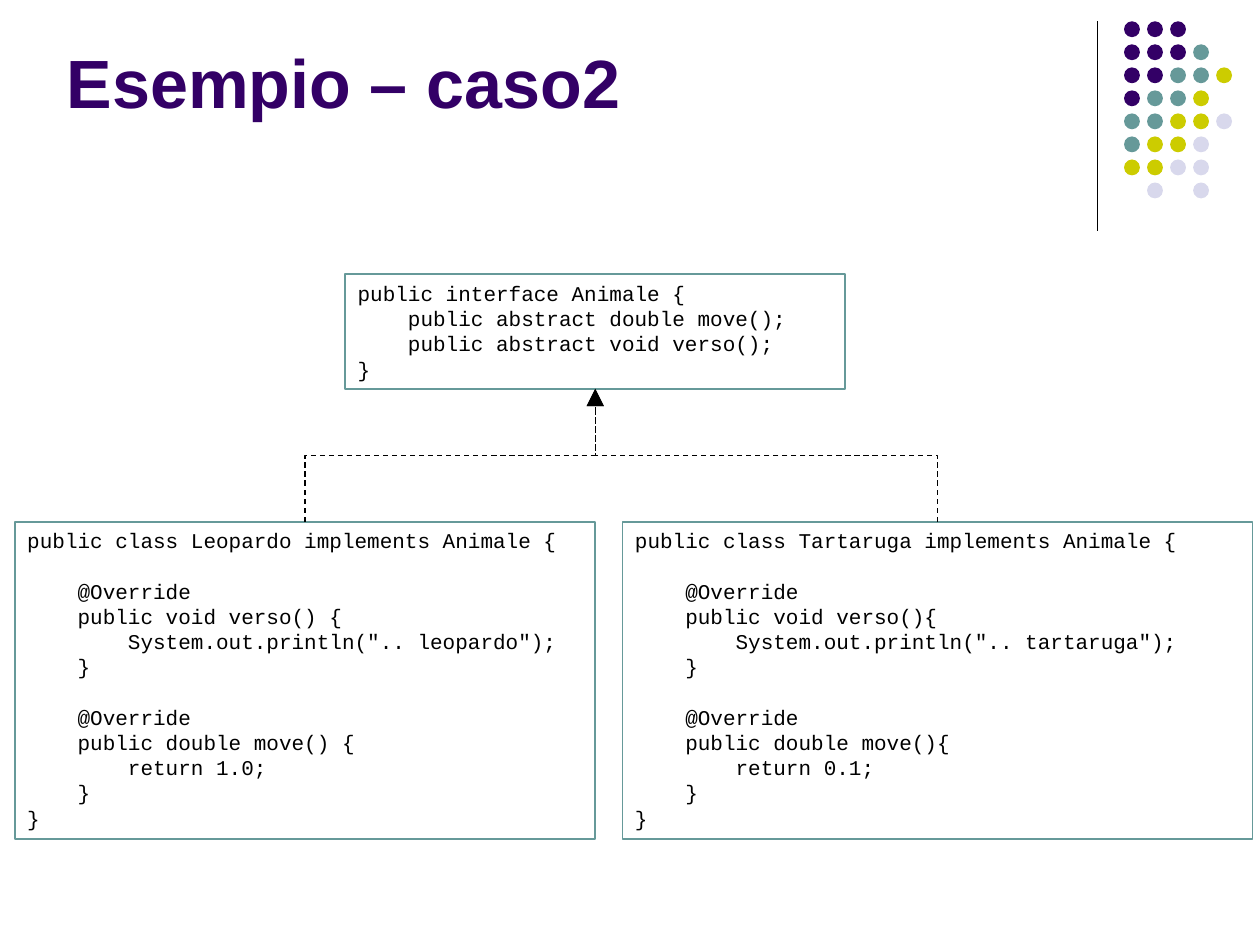
import pptx
import pptx.util
import pptx.dml.color
import pptx.enum.dml
import pptx.enum.shapes
import pptx.enum.text
import pptx.oxml
import pptx.oxml.ns
import lxml.etree

Cm = pptx.util.Cm
Pt = pptx.util.Pt
RGBColor = pptx.dml.color.RGBColor
KIND = pptx.enum.shapes.MSO_CONNECTOR
qn = pptx.oxml.ns.qn

BLACK = RGBColor(0x00, 0x00, 0x00)
PURPLE = RGBColor(0x33, 0x00, 0x66)
TEAL = RGBColor(0x66, 0x99, 0x99)
LIME = RGBColor(0xCC, 0xCC, 0x00)
LILAC = RGBColor(0xD8, 0xD8, 0xEC)

deck = pptx.Presentation()
deck.slide_width = Cm(25.4)
deck.slide_height = Cm(19.05)
slide = deck.slides.add_slide(deck.slide_layouts[5])
shapes = slide.shapes


def add_line(kind, x1, y1, x2, y2):
    """Add a thin black connector without shadow, in centimetres."""
    line = shapes.add_connector(kind, Cm(x1), Cm(y1), Cm(x2), Cm(y2))
    line.line.color.rgb = BLACK
    line.line.width = Pt(0.75)
    lxml.etree.SubElement(line._element.spPr, qn("a:effectLst"))
    return line


def add_code(left, top, width, height, code):
    """Add a framed box with one paragraph for each line of code."""
    box = shapes.add_textbox(Cm(left), Cm(top), Cm(width), Cm(height))
    box.line.color.rgb = TEAL
    box.line.width = Pt(1)
    frame = box.text_frame
    frame.word_wrap = True
    frame.text = code
    for para in frame.paragraphs:
        para.font.name = "Courier New"
        para.font.size = Pt(12)
        para.font.color.rgb = BLACK


# Corner ornament
add_line(KIND.STRAIGHT, 22.12, 0.43, 22.12, 4.65)

tones = {"P": PURPLE, "T": TEAL, "Y": LIME, "L": LILAC}
rows = ["PPP", "PPPT", "PPTTY", "PTTY", "TTYYL", "TYYL", "YYLL", " L L"]
step = 3.25 / 7
dots = shapes.add_group_shape()
for row, marks in enumerate(rows):
    for col, mark in enumerate(marks):
        if mark == " ":
            continue
        dot = dots.shapes.add_shape(
            pptx.enum.shapes.MSO_SHAPE.OVAL,
            Cm(22.66 + col * step), Cm(0.43 + row * step), Cm(0.32), Cm(0.32))
        dot.shadow.inherit = False
        dot.fill.solid()
        dot.fill.fore_color.rgb = tones[mark]
        dot.line.fill.background()

# Title
title = shapes.title
title.left, title.top = Cm(1.09), Cm(-1.02)
title.width, title.height = Cm(20.96), Cm(3.61)
frame = title.text_frame
frame.text = "Esempio – caso2"
frame.auto_size = pptx.enum.text.MSO_AUTO_SIZE.NONE
frame.vertical_anchor = pptx.enum.text.MSO_ANCHOR.BOTTOM
para = frame.paragraphs[0]
para.alignment = pptx.enum.text.PP_ALIGN.LEFT
para.font.name = "Arial"
para.font.size = Pt(39)
para.font.bold = True
para.font.color.rgb = PURPLE

# Interface and the two classes
add_code(6.96, 5.53, 10.08, 2.31, """public interface Animale {
    public abstract double move();
    public abstract void verso();
}""")

add_code(0.3, 10.52, 11.7, 6.4, """public class Leopardo implements Animale {

    @Override
    public void verso() {
        System.out.println(".. leopardo");
    }

    @Override
    public double move() {
        return 1.0;
    }
}""")

add_code(12.55, 10.52, 12.7, 6.4, """public class Tartaruga implements Animale {

    @Override
    public void verso(){
        System.out.println(".. tartaruga");
    }

    @Override
    public double move(){
        return 0.1;
    }
}""")

# Dashed arrows from each class up to the interface: an elbow leaves
# sideways, so each one is laid out flat and then turned upright.
goal, low, high = 12, 10.52, 7.84
mid = (low + high) / 2
half = (low - high) / 2
for start, side, turn in [(6.15, 1, 90), (18.9, -1, 270)]:
    x = (start + goal) / 2
    reach = abs(goal - start) / 2
    arrow = add_line(KIND.ELBOW, x + side * half, mid + reach,
                     x - side * half, mid - reach)
    arrow._element.spPr.find(qn("a:xfrm")).set("rot", str(turn * 60000))
    arrow.line.dash_style = pptx.enum.dml.MSO_LINE.DASH
    lxml.etree.SubElement(arrow.line._get_or_add_ln(), qn("a:tailEnd"),
                          type="triangle", w="lg", len="lg")

deck.save("out.pptx")
